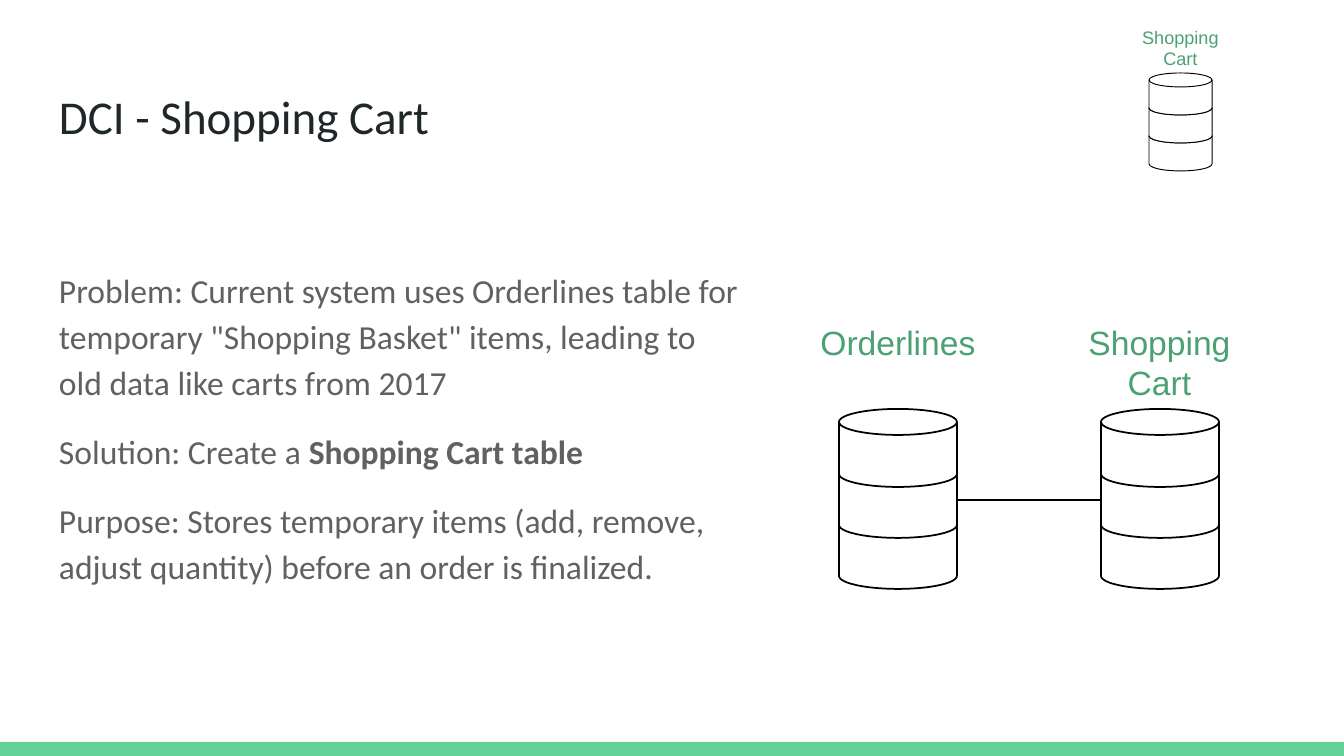
import pptx
import pptx.dml.color
import pptx.enum.shapes
import pptx.enum.text
import pptx.oxml
import pptx.util
from dataclasses import dataclass

EMU_PER_PX = 914400 / 134.4


@dataclass(frozen=True)
class Theme:
    heading: str = "202729"
    body: str = "616161"
    label: str = "4BA173"
    bar: str = "63D297"
    paper: str = "FFFFFF"
    ink: str = "000000"
    text_font: str = "Calibri"
    label_font: str = "Arial"
    title_size: float = 25.2
    body_size: float = 18
    small_label_size: float = 9.7
    line_spacing: float = 1.15
    paragraph_gap: float = 12


THEME = Theme()


def px(n):
    return pptx.util.Emu(round(n * EMU_PER_PX))


def rgb(code):
    return pptx.dml.color.RGBColor.from_string(code)


def add_text(slide, box, paragraphs, font, size, color, inset=13,
             anchor="TOP", align="LEFT", spacing=1.0):
    """Each paragraph is a list of (text, bold) runs."""
    tf = slide.shapes.add_textbox(*map(px, box)).text_frame
    tf.word_wrap = True
    tf.vertical_anchor = getattr(pptx.enum.text.MSO_ANCHOR, anchor)
    tf.margin_left = tf.margin_right = px(inset)
    tf.margin_top = tf.margin_bottom = px(inset)
    for i, runs in enumerate(paragraphs):
        p = tf.add_paragraph() if i else tf.paragraphs[0]
        p.alignment = getattr(pptx.enum.text.PP_ALIGN, align)
        p.line_spacing = spacing
        if i:
            p.space_before = pptx.util.Pt(THEME.paragraph_gap)
        p.font.name = font
        p.font.size = pptx.util.Pt(size)
        p.font.color.rgb = rgb(color)
        for text, bold in runs:
            r = p.add_run()
            r.text = text
            if bold:
                r.font.bold = True
    return tf


def add_label(slide, box, text, size, inset=13):
    add_text(slide, box, [[(text, False)]], THEME.label_font, size,
             THEME.label, inset=inset, align="CENTER")


def add_shape(slide, kind, box, fill):
    sp = slide.shapes.add_shape(kind, *map(px, box))
    sp.shadow.inherit = False
    sp.fill.solid()
    sp.fill.fore_color.rgb = rgb(fill)
    sp.line.fill.background()
    return sp


def add_database(slide, left, top, width, height, step, weight):
    """Three disks, stacked from the bottom up."""
    disk = pptx.enum.shapes.MSO_SHAPE.FLOWCHART_MAGNETIC_DISK
    for level in (2, 1, 0):
        sp = add_shape(slide, disk, (left, top + level * step, width, height),
                       THEME.paper)
        sp.line.color.rgb = rgb(THEME.ink)
        sp.line.width = pptx.util.Pt(weight)


def add_link(slide, x1, x2, y):
    line = slide.shapes.add_connector(
        pptx.enum.shapes.MSO_CONNECTOR.STRAIGHT, px(x1), px(y), px(x2), px(y))
    line.line.color.rgb = rgb(THEME.ink)
    line.line.width = pptx.util.Pt(0.75)
    line._element.spPr.append(pptx.oxml.parse_xml(
        '<a:effectLst xmlns:a="http://schemas.openxmlformats.org/drawingml/2006/main"/>'))


def main():
    prs = pptx.Presentation()
    prs.slide_width, prs.slide_height = px(1344), px(756)
    slide = prs.slides.add_slide(prs.slide_layouts[6])

    # Footer bar
    add_shape(slide, pptx.enum.shapes.MSO_SHAPE.RECTANGLE,
              (0, 742, 1344, 14), THEME.bar)

    # Title and body
    add_text(slide, (46, 66, 1252, 84), [[("DCI - Shopping Cart", False)]],
             THEME.text_font, THEME.title_size, THEME.heading,
             spacing=THEME.line_spacing)
    body = [
        [('Problem: Current system uses Orderlines table for temporary '
          '"Shopping Basket" items, leading to old data like carts from 2017',
          False)],
        [("Solution: Create a ", False), ("Shopping Cart table", True)],
        [("Purpose: Stores temporary items (add, remove, adjust quantity) "
          "before an order is finalized.", False)],
    ]
    tf = add_text(slide, (46, 169, 706, 512), body, THEME.text_font,
                  THEME.body_size, THEME.body, anchor="MIDDLE",
                  spacing=THEME.line_spacing)
    tf.paragraphs[-1].space_after = pptx.util.Pt(THEME.paragraph_gap)

    # Corner icon
    add_database(slide, 1149, 73, 63, 42, step=28, weight=0.5)
    add_label(slide, (1128, 19, 105, 58), "Shopping Cart",
              THEME.small_label_size, inset=7)

    # Linked tables
    left_table, right_table, width = 839, 1101, 118
    for left in (left_table, right_table):
        add_database(slide, left, 409, width, 78, step=51, weight=0.93)
    add_label(slide, (1056, 309, 207, 109), "Shopping Cart", THEME.body_size)
    add_label(slide, (800, 309, 196, 67), "Orderlines", THEME.body_size)
    add_link(slide, right_table, left_table + width, 500)

    prs.save("out.pptx")


if __name__ == "__main__":
    main()
